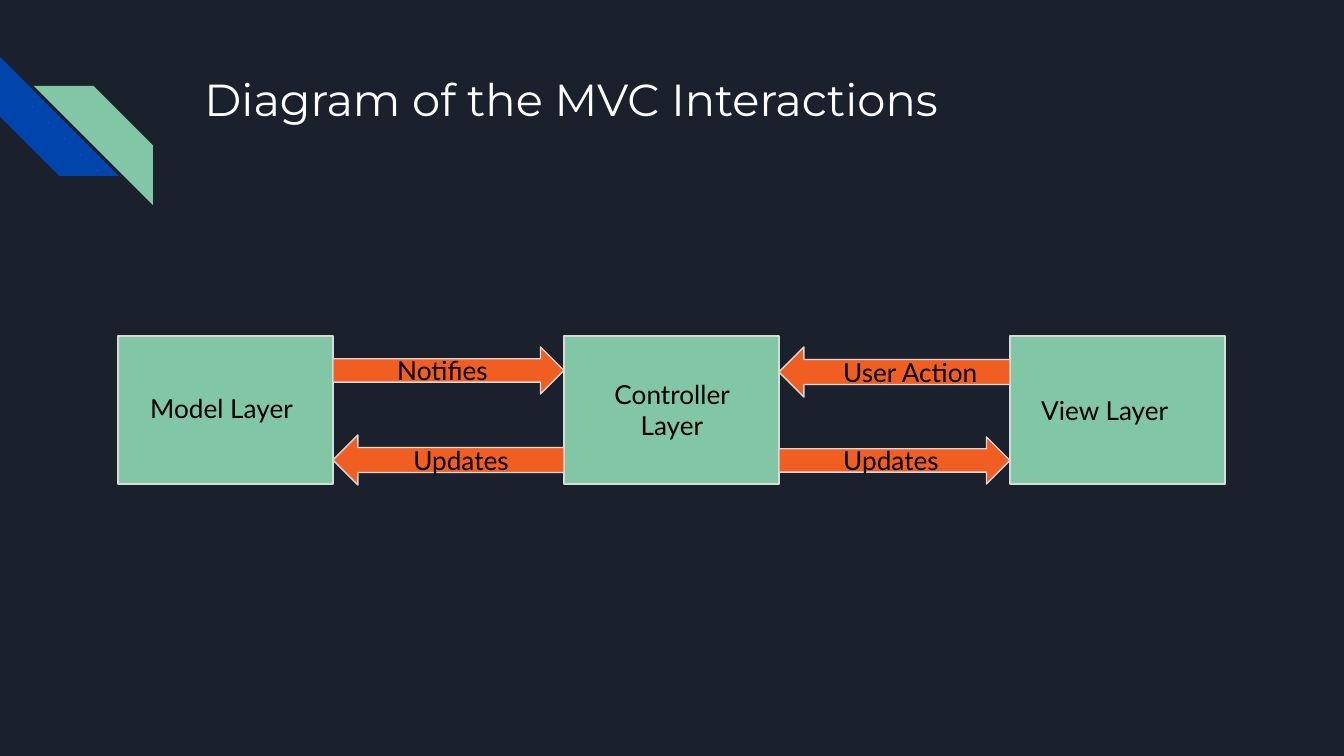
from pptx import Presentation
from pptx.dml.color import RGBColor
from pptx.enum.shapes import MSO_SHAPE
from pptx.enum.text import MSO_ANCHOR, PP_ALIGN
from pptx.util import Pt

PX = 914400 / 134.4
BG = RGBColor(0x1B, 0x21, 0x2C)
BLUE = RGBColor(0x01, 0x45, 0xAC)
GREEN = RGBColor(0x82, 0xC7, 0xA5)
ORANGE = RGBColor(0xF1, 0x5E, 0x22)
GREY = RGBColor(0xD9, 0xD9, 0xD9)
WHITE = RGBColor(0xFF, 0xFF, 0xFF)
BLACK = RGBColor(0, 0, 0)
STRIPE, RECT = MSO_SHAPE.DIAGONAL_STRIPE, MSO_SHAPE.RECTANGLE
RIGHT, LEFT = MSO_SHAPE.RIGHT_ARROW, MSO_SHAPE.LEFT_ARROW


def add_shape(kind, box, fill, line=None):
    """Add a flat preset shape; box is left, top, width, height in px."""
    sp = s.shapes.add_shape(kind, *[round(v * PX) for v in box])
    sp.shadow.inherit = False
    sp.fill.solid()
    sp.fill.fore_color.rgb = fill
    if line is None:
        sp.line.fill.background()
    else:
        sp.line.color.rgb = line
        sp.line.width = Pt(0.75)
    return sp


def set_text(sp, text, font, size, color, align=PP_ALIGN.LEFT):
    tf = sp.text_frame
    tf.word_wrap = True
    tf.vertical_anchor = MSO_ANCHOR.TOP
    tf.margin_left = tf.margin_right = tf.margin_top = tf.margin_bottom = round(13.44 * PX)
    tf.text = text
    p = tf.paragraphs[0]
    p.alignment = align
    p.font.name, p.font.size, p.font.color.rgb = font, Pt(size), color


prs = Presentation()
prs.slide_width, prs.slide_height = round(1344 * PX), round(756 * PX)
s = prs.slides.add_slide(prs.slide_layouts[5])
s.background.fill.solid()
s.background.fill.fore_color.rgb = BG

# Corner ornament
blue_stripe = add_shape(STRIPE, (0, 57, 119, 119), BLUE)
blue_stripe.rotation = 270
green_stripe = add_shape(STRIPE, (34, 86, 119, 119), GREEN)
green_stripe._element.spPr.xfrm.set("flipH", "1")

title = s.shapes.title
title.left, title.top, title.width, title.height = [round(v * PX) for v in (191, 58, 1035, 134)]
set_text(title, "Diagram of the MVC Interactions", "Montserrat", 24, WHITE)

# Three layers with a pair of arrows in each gap
LAYER_X, LAYER_W, PITCH = 118, 215, 446
for i in range(3):
    add_shape(RECT, (LAYER_X + i * PITCH, 336, LAYER_W, 148), GREEN, GREY)

for gap, kind, top, height in [
    (0, RIGHT, 347, 47),
    (1, RIGHT, 437, 47),
    (0, LEFT, 435, 50),
    (1, LEFT, 347, 50),
]:
    left = LAYER_X + LAYER_W + gap * PITCH
    add_shape(kind, (left, top, PITCH - LAYER_W, height), ORANGE, GREY)

for text, box, align in [
    ("Model Layer", (137, 379, 178, 59), PP_ALIGN.LEFT),
    ("Controller Layer", (583, 365, 178, 90), PP_ALIGN.CENTER),
    ("View Layer", (1028, 381, 178, 59), PP_ALIGN.LEFT),
    ("Updates", (400, 431, 130, 59), PP_ALIGN.LEFT),
    ("Updates", (830, 431, 130, 59), PP_ALIGN.LEFT),
    ("Notifies", (384, 341, 130, 59), PP_ALIGN.LEFT),
    ("User Action", (830, 343, 171, 59), PP_ALIGN.LEFT),
]:
    label = s.shapes.add_textbox(*[round(v * PX) for v in box])
    set_text(label, text, "Lato", 14, BLACK, align)

prs.save("out.pptx")
